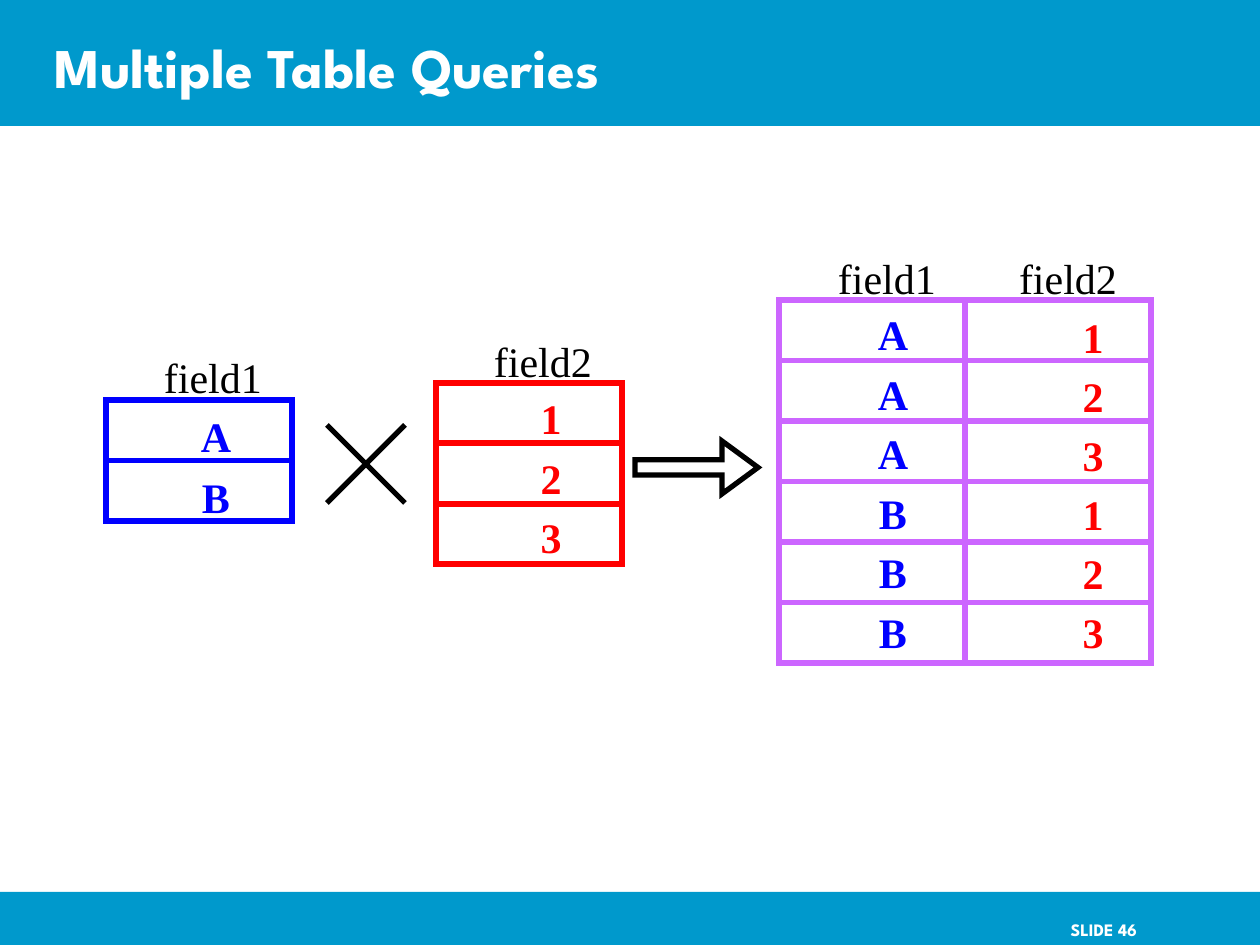
from dataclasses import dataclass

from pptx import Presentation
from pptx.dml.color import RGBColor
from pptx.enum.shapes import MSO_CONNECTOR, MSO_SHAPE
from pptx.enum.text import MSO_ANCHOR as Anchor, PP_ALIGN as Align
from pptx.oxml.ns import qn
from pptx.util import Emu, Pt
from lxml.etree import SubElement

EMU_PER_PX = 914400 / 126
COLUMN_W = 186
BLOCK_H = 121  # a block is a frame of two rows


@dataclass(frozen=True)
class Theme:
    bar: str = "0099CC"
    white: str = "FFFFFF"
    black: str = "000000"
    letter: str = "0000FF"
    number: str = "FF0000"
    product: str = "CC66FF"
    heading_font: str = "League Spartan"
    body_font: str = "Times New Roman"
    title_size: int = 32
    body_size: int = 24
    footer_size: int = 10
    line_width: int = 3


THEME = Theme()


@dataclass(frozen=True)
class Box:
    x: int
    y: int
    w: int
    h: int


@dataclass(frozen=True)
class Column:
    """A field: its frame, its label and its values, spread from first_y to last_y."""
    x: int
    y: int
    block_rows: tuple[int, ...]
    border: str
    name: str
    label: Box
    values: str
    color: str
    value_x: int
    first_y: int
    last_y: int


COLUMNS = (
    Column(106, 400, (0,), THEME.letter, "field1", Box(141, 345, 144, 54),
           "AB", THEME.letter, 160, 404, 465),
    Column(436, 383, (1, 0), THEME.number, "field2", Box(466, 329, 154, 54),
           "123", THEME.number, 495, 386, 505),
    Column(779, 300, (2, 0, 4), THEME.product, "field1", Box(805, 246, 164, 54),
           "AAABBB", THEME.letter, 837, 302, 600),
    Column(965, 300, (2, 0, 4), THEME.product, "field2", Box(996, 246, 144, 54),
           "123123", THEME.number, 1037, 305, 600),
)


def px(n: float) -> Emu:
    return Emu(round(n * EMU_PER_PX))


def place(b: Box) -> tuple[Emu, ...]:
    return px(b.x), px(b.y), px(b.w), px(b.h)


def rgb(color: str) -> RGBColor:
    return RGBColor.from_string(color)


def write(tf, text: str, size: int, color: str, font: str = THEME.body_font,
          bold: bool = True, align=Align.CENTER) -> None:
    p = tf.paragraphs[0]
    p.alignment = align
    r = p.add_run()
    r.text = text
    r.font.name, r.font.size, r.font.bold = font, Pt(size), bold
    r.font.color.rgb = rgb(color)


def add_text(slide, box: Box, anchor=Anchor.TOP):
    tf = slide.shapes.add_textbox(*place(box)).text_frame
    tf.word_wrap = True
    tf.vertical_anchor = anchor
    return tf


def add_shape(slide, kind, box: Box, fill: str | None = None, line: str | None = None):
    s = slide.shapes.add_shape(kind, *place(box))
    s.shadow.inherit = False
    if fill:
        s.fill.solid()
        s.fill.fore_color.rgb = rgb(fill)
    else:
        s.fill.background()
    if line:
        s.line.color.rgb = rgb(line)
        s.line.width = Pt(THEME.line_width)
        SubElement(s.line._get_or_add_ln(), qn("a:miter"), lim="800000")
    else:
        s.line.fill.background()
    return s


def add_line(slide, x1: float, y1: float, x2: float, y2: float, color: str) -> None:
    s = slide.shapes.add_connector(MSO_CONNECTOR.STRAIGHT, px(x1), px(y1), px(x2), px(y2))
    s.line.color.rgb = rgb(color)
    s.line.width = Pt(THEME.line_width)
    SubElement(s._element.spPr, qn("a:effectLst"))


def add_cross(slide, box: Box) -> None:
    top, bottom = box.y, box.y + box.h
    for start, end in ((top, bottom), (bottom, top)):
        add_line(slide, box.x, start, box.x + box.w, end, THEME.black)


def add_column(slide, col: Column) -> None:
    for row in col.block_rows:
        top = col.y + row * BLOCK_H // 2
        middle = top + BLOCK_H / 2
        add_shape(slide, MSO_SHAPE.RECTANGLE, Box(col.x, top, COLUMN_W, BLOCK_H),
                  line=col.border)
        add_line(slide, col.x, middle, col.x + COLUMN_W, middle, col.border)

    write(add_text(slide, col.label), col.name, THEME.body_size, THEME.black, bold=False)
    pitch = (col.last_y - col.first_y) / (len(col.values) - 1)
    for i, value in enumerate(col.values):
        box = Box(col.value_x, round(col.first_y + i * pitch), 112, 54)
        write(add_text(slide, box), value, THEME.body_size, col.color)


def main() -> None:
    prs = Presentation()
    prs.slide_width, prs.slide_height = px(1260), px(945)
    slide = prs.slides.add_slide(prs.slide_layouts[6])

    for bar in (Box(0, 0, 1260, 126), Box(0, 892, 1260, 53)):
        add_shape(slide, MSO_SHAPE.RECTANGLE, bar, fill=THEME.bar)

    footer = add_text(slide, Box(935, 892, 262, 53), Anchor.MIDDLE)
    footer.margin_top, footer.margin_bottom, footer.margin_right = px(23), 0, px(60)
    write(footer, "SLIDE 46", THEME.footer_size, THEME.white, THEME.heading_font,
          align=Align.RIGHT)

    arrow = add_shape(slide, MSO_SHAPE.RIGHT_ARROW, Box(635, 441, 123, 53),
                      THEME.white, THEME.black)
    arrow.adjustments[0], arrow.adjustments[1] = 0.29, 0.68
    add_cross(slide, Box(327, 425, 78, 78))
    for col in COLUMNS:
        add_column(slide, col)

    title = add_text(slide, Box(42, 27, 1018, 78), Anchor.MIDDLE)
    write(title, "Multiple Table Queries", THEME.title_size, THEME.white,
          THEME.heading_font, align=Align.LEFT)

    prs.save("out.pptx")


if __name__ == "__main__":
    main()
